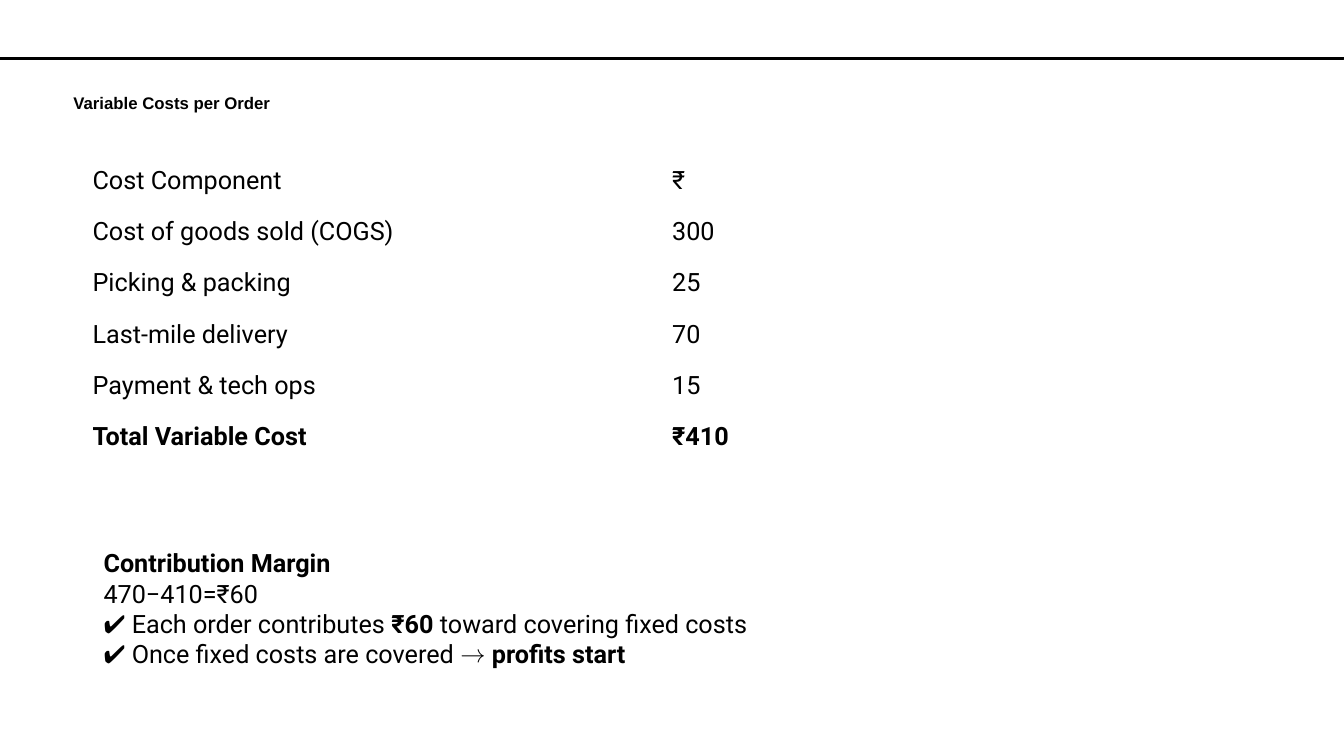
from pptx import Presentation
from pptx import util as u
from pptx.dml import color
from pptx.enum import shapes, text


def paint(code):
    return color.RGBColor.from_string(code)


def write(para, words, font="Roboto", size=18, bold=False, ink="000000"):
    run = para.add_run()
    run.text = words
    run.font.name = font
    run.font.size = u.Pt(size)
    run.font.bold = bold
    run.font.color.rgb = paint(ink)


class Deck:
    ink = "000000"

    def __init__(self, wide, high):
        self.file = Presentation()
        self.file.slide_width = u.Cm(wide)
        self.file.slide_height = u.Cm(high)
        self.slide = self.file.slides.add_slide(self.file.slide_layouts[6])

    def place(self, *area):
        return [u.Cm(side) for side in area]

    def rule(self, *area):
        bar = self.slide.shapes.add_shape(
            shapes.MSO_SHAPE.RECTANGLE, *self.place(*area))
        bar.shadow.inherit = False
        bar.fill.solid()
        bar.fill.fore_color.rgb = paint(self.ink)
        bar.line.color.rgb = paint(self.ink)
        bar.line.width = u.Pt(0.75)

    def box(self, area, paras, inset=0.13, **style):
        frame = self.slide.shapes.add_textbox(*self.place(*area)).text_frame
        frame.word_wrap = True
        frame.margin_top = u.Cm(inset)
        frame.vertical_anchor = text.MSO_ANCHOR.TOP
        for i, lines in enumerate(paras):
            para = frame.add_paragraph() if i else frame.paragraphs[0]
            for j, line in enumerate(lines):
                if j:
                    para.add_line_break()
                for words, bold in line:
                    write(para, words, bold=bold, ink=self.ink, **style)

    def table(self, area, rows):
        grid = self.slide.shapes.add_table(
            len(rows), len(rows[0]), *self.place(*area)).table
        grid.first_row = grid.horz_banding = False
        for i, row in enumerate(rows):
            for j, words in enumerate(row):
                cell = grid.cell(i, j)
                cell.fill.background()
                cell.vertical_anchor = text.MSO_ANCHOR.MIDDLE
                write(cell.text_frame.paragraphs[0], words,
                      bold=i == len(rows) - 1, ink=self.ink)


def main():
    deck = Deck(33.87, 19.05)
    deck.table((2.08, 3.91, 29.21, 7.75), [
        ("Cost Component", "₹"),
        ("Cost of goods sold (COGS)", "300"),
        ("Picking & packing", "25"),
        ("Last-mile delivery", "70"),
        ("Payment & tech ops", "15"),
        ("Total Variable Cost", "₹410"),
    ])
    deck.box((1.6, 2.06, 30, 1.27), [[[("Variable Costs per Order", True)]]],
             inset=0.28, font="Arial", size=12)
    deck.rule(0, 1.44, 33.87, 0.05)
    deck.box((2.36, 13.67, 17.75, 3.33), [
        [[("Contribution Margin", True)]],
        [[("470−410=₹60", False)]],
        [
            [("✔ Each order contributes ", False), ("₹60", True),
             (" toward covering fixed costs", False)],
            [("✔ Once fixed costs are covered → ", False),
             ("profits start", True)],
        ],
    ])
    deck.file.save("out.pptx")


if __name__ == "__main__":
    main()
